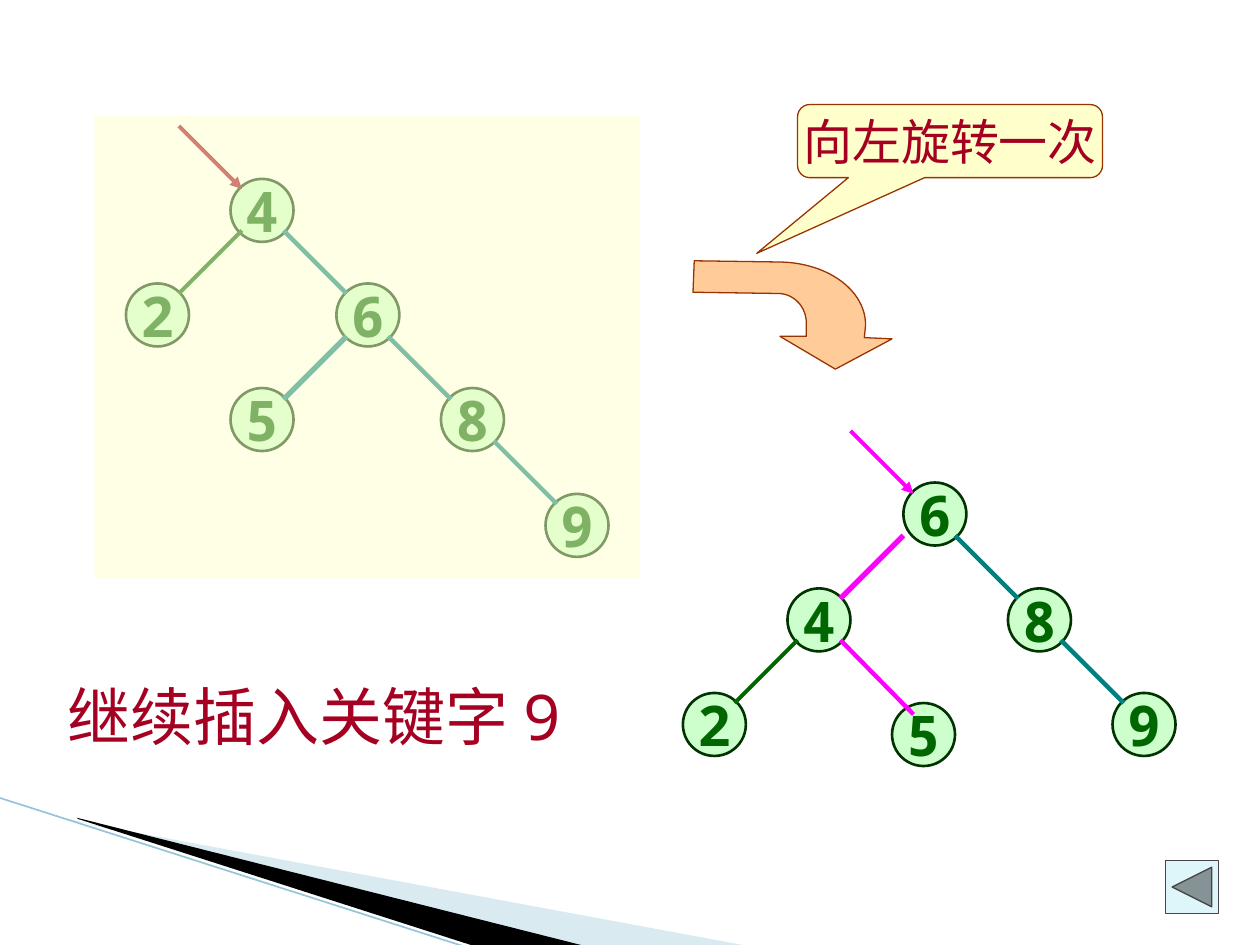
from lxml.etree import SubElement
from pptx import Presentation
from pptx.dml.color import RGBColor
from pptx.enum.shapes import MSO_CONNECTOR, MSO_SHAPE
from pptx.enum.text import MSO_ANCHOR, MSO_AUTO_SIZE, PP_ALIGN
from pptx.oxml.ns import qn
from pptx.util import Inches, Pt

FONT = "Noto Sans Mono"
NODE = 0.5
GREEN, TEAL, RED, PINK = "006600", "008080", "A50021", "FF00FF"

# Nodes: key, left, top
LEFT_NODES = [("4", 1.83, 1.42), ("2", 1, 2.25), ("6", 2.67, 2.25),
              ("5", 1.83, 3.08), ("8", 3.5, 3.08), ("9", 4.33, 3.92)]
RIGHT_NODES = [("6", 7.17, 3.83), ("4", 6.25, 4.67), ("2", 5.42, 5.5),
               ("8", 8, 4.67), ("9", 8.83, 5.5), ("5", 7.08, 5.58)]

# Edges: start x, start y, run, rise, colour, width
LEFT_EDGES = [(1.92, 1.83, -0.5, 0.5, GREEN, 2.25), (2.25, 1.83, 0.5, 0.5, TEAL, 2.5),
              (2.75, 2.67, -0.5, 0.5, TEAL, 3), (3.08, 2.67, 0.5, 0.5, TEAL, 2.5),
              (3.92, 3.5, 0.5, 0.5, TEAL, 2.5)]
RIGHT_EDGES = [(6.33, 5.08, -0.5, 0.5, GREEN, 2.25), (7.17, 4.25, -0.5, 0.5, PINK, 3),
               (7.58, 4.25, 0.5, 0.5, TEAL, 2.5), (8.42, 5.08, 0.5, 0.5, TEAL, 2.5),
               (6.67, 5.08, 0.58, 0.59, PINK, 2.5)]


def rgb(color):
    return RGBColor.from_string(color)


def style(shape, fill, line=None, width=0.75, alpha=None):
    shape.shadow.inherit = False
    shape.fill.solid()
    shape.fill.fore_color.rgb = rgb(fill)
    if alpha:
        color = shape.fill._xPr.find(qn("a:solidFill"))[0]
        SubElement(color, qn("a:alpha"), val=str(alpha * 1000))
    if line:
        shape.line.color.rgb = rgb(line)
        shape.line.width = Pt(width)
    else:
        shape.line.fill.background()


def add_box(s, kind, x, y, w, h, fill, line=None, width=0.75, alpha=None):
    sp = s.shapes.add_shape(kind, Inches(x), Inches(y), Inches(w), Inches(h))
    style(sp, fill, line, width, alpha)
    return sp


def add_run(p, text, size, color, bold=False):
    r = p.add_run()
    r.text = text
    r.font.name = FONT
    r.font.size = Pt(size)
    r.font.bold = bold
    r.font.color.rgb = rgb(color)


def add_label(sp, text, size, color, bold=False):
    tf = sp.text_frame
    tf.word_wrap = False
    tf.vertical_anchor = MSO_ANCHOR.MIDDLE
    p = tf.paragraphs[0]
    p.alignment = PP_ALIGN.CENTER
    add_run(p, text, size, color, bold)


def add_line(s, x, y, dx, dy, color, width, arrow=False):
    c = s.shapes.add_connector(MSO_CONNECTOR.STRAIGHT, Inches(x), Inches(y),
                               Inches(x + dx), Inches(y + dy))
    c.line.color.rgb = rgb(color)
    c.line.width = Pt(width)
    if arrow:
        SubElement(c.line._get_or_add_ln(), qn("a:tailEnd"), type="triangle")
    SubElement(c._element.spPr, qn("a:effectLst"))


def add_outline(s, points, fill, line=None, alpha=None):
    points = [(Inches(x), Inches(y)) for x, y in points]
    builder = s.shapes.build_freeform(*points[0])
    builder.add_line_segments(points[1:], close=True)
    style(builder.convert_to_shape(), fill, line, alpha=alpha)


def curve(p0, p1, p2, p3, steps=24):
    """Points along a cubic Bezier curve, both ends included."""
    points = []
    for i in range(steps + 1):
        t = i / steps
        weights = ((1 - t) ** 3, 3 * t * (1 - t) ** 2, 3 * t * t * (1 - t), t ** 3)
        points.append(tuple(sum(k * p[axis] for k, p in zip(weights, (p0, p1, p2, p3)))
                            for axis in (0, 1)))
    return points


def add_tree(s, nodes, edges, pointer):
    for key, x, y in nodes:
        sp = add_box(s, MSO_SHAPE.OVAL, x, y, NODE, NODE, "CCFFCC", "003300", 1.5)
        add_label(sp, key, 32, GREEN, bold=True)
    for edge in edges:
        add_line(s, *edge)
    add_line(s, *pointer, arrow=True)


def add_title(s, text):
    tb = s.shapes.add_textbox(Inches(0.44), Inches(5.33), Inches(4.39), Inches(0.7))
    tf = tb.text_frame
    tf.word_wrap = True
    tf.auto_size = MSO_AUTO_SIZE.SHAPE_TO_FIT_TEXT
    add_run(tf.paragraphs[0], text, 36, RED)


def main():
    prs = Presentation()
    prs.slide_width, prs.slide_height = Inches(10), Inches(7.5)
    s = prs.slides.add_slide(prs.slide_layouts[6])

    # Corner decoration
    add_outline(s, [(0.55, 6.51), (5.95, 7.51), (4.56, 7.51), (0.55, 6.5)],
                "A0CBDC", alpha=40)
    add_outline(s, [(0.61, 6.49), (4.65, 7.51), (3.8, 7.52), (0.62, 6.5)], "000000")
    add_line(s, -0.01, 6.33, 3.72, 1.19, "97C5D8", 0.95)

    # Tree before the rotation, under a pale veil
    add_tree(s, LEFT_NODES, LEFT_EDGES, (1.42, 1, 0.5, 0.5, RED, 2.25))
    add_box(s, MSO_SHAPE.RECTANGLE, 0.75, 0.92, 4.33, 3.67, "FFFFCC", alpha=50)

    # Tree after the rotation
    add_tree(s, RIGHT_NODES, RIGHT_EDGES, (6.75, 3.42, 0.5, 0.5, PINK, 2.25))

    # Bent arrow and its callout
    outer = curve((6.87, 2.58), (6.87, 2.31), (6.58, 2.09), (6.2, 2.08))
    inner = curve((6.19, 2.33), (6.31, 2.34), (6.4, 2.44), (6.4, 2.57))
    add_outline(s, [(6.63, 2.93), (7.08, 2.69), (6.86, 2.68), *outer, (5.51, 2.07),
                    (5.5, 2.32), *inner, (6.4, 2.67), (6.19, 2.67)], "FFCC99", "993300")
    callout = add_box(s, MSO_SHAPE.ROUNDED_RECTANGULAR_CALLOUT, 6.33, 0.83, 2.42, 0.58,
                      "FFFFCC", "993300")
    for i, value in enumerate((-0.634, 1.536, 0.167)):
        callout.adjustments[i] = value
    add_label(callout, "向左旋转一次", 28, RED)

    # Caption and back button
    add_title(s, "继续插入关键字 9")
    add_box(s, MSO_SHAPE.ACTION_BUTTON_BACK_OR_PREVIOUS, 9.25, 6.83, 0.42, 0.42,
            "DEF5FA", "464646")

    prs.save("out.pptx")


if __name__ == "__main__":
    main()
